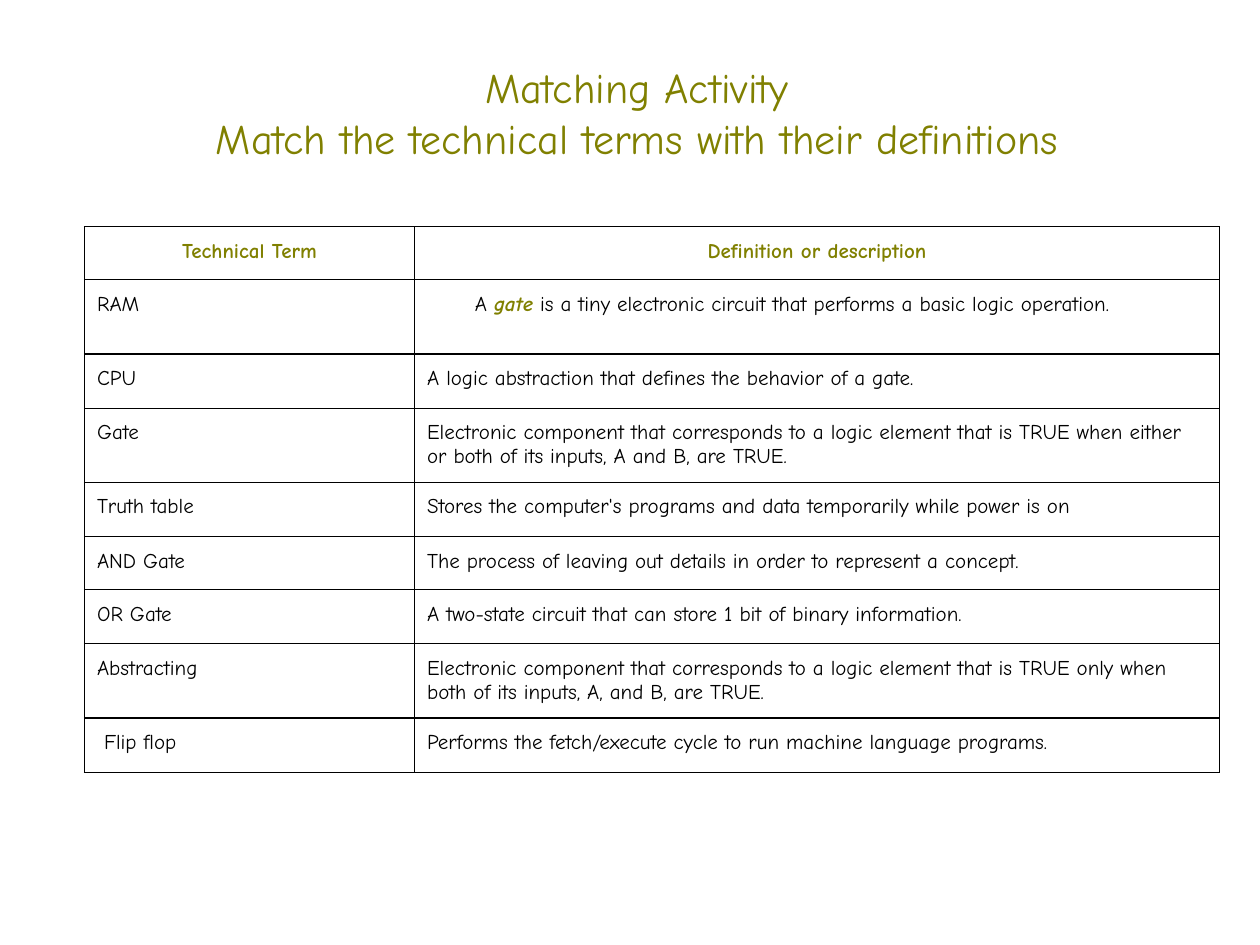
from lxml import etree
from pptx import Presentation, util as u
from pptx.dml.color import RGBColor
from pptx.enum import text
from pptx.oxml.ns import qn

OLIVE, BLACK = "808000", "000000"
TITLE = ["Matching Activity", "Match the technical terms with their definitions"]
HEADER = ("Technical Term", "Definition or description")
GATE = ("A ", "gate", " is a tiny electronic circuit that performs a basic logic operation.")
ROWS = [
    ("RAM", "".join(GATE), 0.59),
    ("CPU", "A logic abstraction that defines the behavior of a gate.", 0.43),
    ("Gate", "Electronic component that corresponds to a logic element that is TRUE "
     "when either or both of its inputs, A and B, are TRUE.", 0.59),
    ("Truth table", "Stores the computer's programs and data temporarily while power is on", 0.43),
    ("AND Gate", "The process of leaving out details in order to represent a concept.", 0.42),
    ("OR Gate", "A two-state circuit that can store 1 bit of binary information.", 0.43),
    ("Abstracting", "Electronic component that corresponds to a logic element that is TRUE "
     "only when both of its inputs, A, and B, are TRUE.", 0.59),
    (" Flip flop", "Performs the fetch/execute cycle to run machine language programs.", 0.43),
]


def colour(value):
    return RGBColor.from_string(value)


class SlideWriter:
    font = "Comic Neue"
    inset = u.Inches(0.1)
    border = u.Pt(0.75)

    def __init__(self, slide):
        self.slide = slide

    def style(self, para, size, shade, bold=False, centred=False):
        para.alignment = text.PP_ALIGN.CENTER if centred else text.PP_ALIGN.LEFT
        for span in para.runs:
            span.font.name = self.font
            span.font.size = u.Pt(size)
            span.font.bold = bold
            span.font.color.rgb = colour(shade)

    def set_margins(self, holder):
        holder.margin_left = holder.margin_right = self.inset
        holder.margin_top = holder.margin_bottom = self.inset

    def title(self, lines, left, top, width, height):
        box = self.slide.shapes.add_textbox(
            u.Inches(left), u.Inches(top), u.Inches(width), u.Inches(height))
        frame = box.text_frame
        frame.word_wrap = True
        self.set_margins(frame)
        frame.text = "\n".join(lines)
        for para in frame.paragraphs:
            self.style(para, 24, OLIVE, centred=True)

    def outline(self, cell):
        properties = cell._tc.get_or_add_tcPr()
        for position, side in enumerate(("lnL", "lnR", "lnT", "lnB")):
            line = etree.Element(qn(f"a:{side}"), w=str(self.border))
            fill = etree.SubElement(line, qn("a:solidFill"))
            etree.SubElement(fill, qn("a:srgbClr"), val=BLACK)
            properties.insert(position, line)

    def table(self, header, rows, left, top, widths, header_height):
        heights = [header_height] + [row[2] for row in rows]
        contents = [header] + [row[:2] for row in rows]
        table = self.slide.shapes.add_table(
            len(contents), len(widths), u.Inches(left), u.Inches(top),
            u.Inches(sum(widths)), u.Inches(sum(heights))).table
        for column, width in zip(table.columns, widths):
            column.width = u.Inches(width)
        for index, (row, height) in enumerate(zip(table.rows, heights)):
            row.height = u.Inches(height)
            heading = index == 0
            for cell, words in zip(row.cells, contents[index]):
                cell.fill.background()
                self.set_margins(cell)
                self.outline(cell)
                cell.text_frame.text = words
                self.style(cell.text_frame.paragraphs[0], 12,
                           OLIVE if heading else BLACK, heading, heading)
        return table

    def highlight(self, cell, parts, indent):
        para = cell.text_frame.paragraphs[0]
        para.clear()
        for part in parts:
            para.add_run().text = part
        self.style(para, 12, BLACK)
        para._p.get_or_add_pPr().set("marL", str(u.Inches(indent)))
        term = para.runs[1].font
        term.bold = term.italic = True
        term.color.rgb = colour(OLIVE)


def main():
    deck = Presentation()
    deck.slide_width, deck.slide_height = u.Inches(10), u.Inches(7.5)
    page = SlideWriter(deck.slides.add_slide(deck.slide_layouts[6]))
    table = page.table(HEADER, ROWS, 0.67, 1.8, (2.62, 6.39), 0.42)
    page.highlight(table.cell(1, 1), GATE, 0.38)
    page.title(TITLE, 0.56, 0.39, 8.99, 0.9)
    deck.save("out.pptx")


if __name__ == "__main__":
    main()
